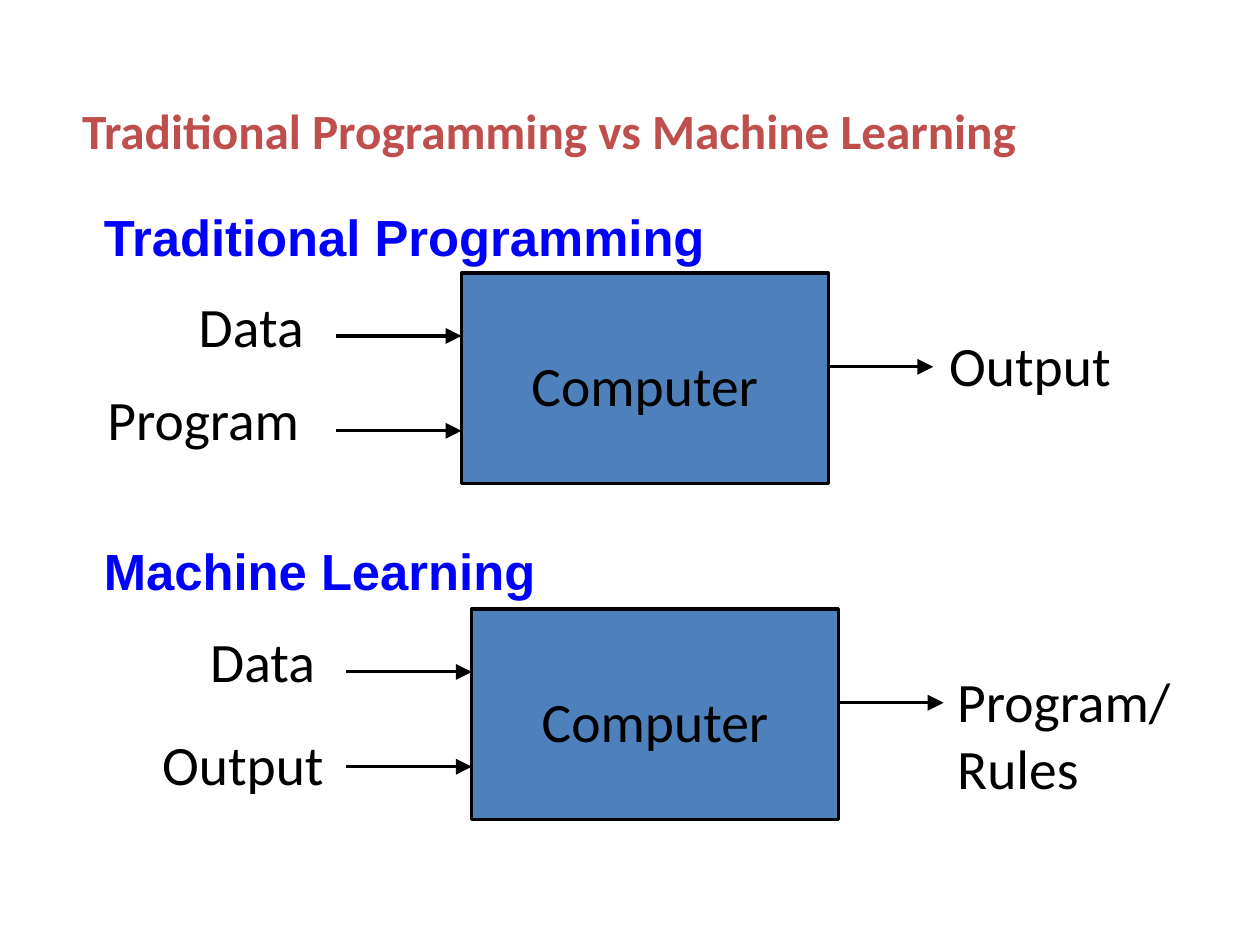
from dataclasses import dataclass, field

from lxml.etree import SubElement
from pptx import Presentation
from pptx.dml.color import RGBColor
from pptx.enum.shapes import MSO_CONNECTOR as Conn, MSO_SHAPE as Shape
from pptx.enum.text import MSO_ANCHOR as Anchor, PP_ALIGN as Align
from pptx.oxml.ns import qn
from pptx.util import Inches, Pt

BLACK, BLUE, RED, FILL = "000000", "0000FF", "BF4F4C", "4E80BC"
BOX_W, BOX_H = 3.21, 1.84
INPUT_LEN, OUTPUT_LEN = 1.1, 0.92
INPUT_YS, OUTPUT_Y = (0.55, 1.38), 0.82


@dataclass
class Style:
    name: str
    size: float
    color: str
    bold: bool = False


TITLE = Style("Calibri", 31, RED, True)
HEADING = Style("Arial", 32, BLUE, True)
BODY = Style("Calibri", 35, BLACK)


@dataclass
class Label:
    text: str
    left: float
    top: float
    width: float
    height: float
    style: Style = field(default_factory=lambda: BODY)
    wrap: bool = False
    indent: float = 0
    para: dict = field(default_factory=lambda: {"space_before": Pt(1)})


@dataclass
class Diagram:
    left: float
    top: float
    labels: list[Label]


HEADLINE = Label("Traditional Programming vs Machine Learning", 0.71, 0.87, 8.18, 0.55, TITLE)
DIAGRAMS = [
    Diagram(4.04, 2.39, [
        Label("Traditional Programming", 0.9, 1.79, 5.28, 0.56, HEADING),
        Label("Data Program", 0.93, 2.32, 1.75, 1.64, wrap=True, indent=0.8,
              para={"space_before": Pt(0.9), "line_spacing": 1.39}),
        Label("Output", 8.3, 2.89, 1.44, 0.61),
    ]),
    Diagram(4.13, 5.33, [
        Label("Machine Learning", 0.9, 4.71, 3.8, 0.56, HEADING),
        Label("Data", 1.83, 5.48, 0.95, 0.61),
        Label("Output", 1.41, 6.38, 1.44, 0.61),
        Label("Program/ Rules", 8.37, 5.83, 1.9, 1.19, wrap=True),
    ]),
]


def rgb(color: str) -> RGBColor:
    return RGBColor.from_string(color)


def apply(target, values: dict) -> None:
    for name, value in values.items():
        setattr(target, name, value)


def write(sp, text: str, style: Style, frame: dict, para: dict):
    tf = sp.text_frame
    apply(tf, {"margin_left": 0, "margin_right": 0, "margin_bottom": 0,
               "vertical_anchor": Anchor.TOP} | frame)
    p = tf.paragraphs[0]
    apply(p, para)
    r = p.add_run()
    r.text = text
    apply(r.font, {"name": style.name, "size": Pt(style.size), "bold": style.bold})
    r.font.color.rgb = rgb(style.color)
    return p


def add_label(s, label: Label) -> None:
    sp = s.shapes.add_textbox(*map(Inches, (label.left, label.top, label.width, label.height)))
    p = write(sp, label.text, label.style,
              {"margin_top": Inches(0.01), "word_wrap": label.wrap},
              {"alignment": Align.LEFT} | label.para)
    pPr = p._p.get_or_add_pPr()
    pPr.set("marL", str(Inches(0.01)))
    pPr.set("indent", str(Inches(label.indent)))


def add_arrow(s, left: float, y: float, length: float) -> None:
    sp = s.shapes.add_connector(Conn.STRAIGHT, *map(Inches, (left, y, left + length, y)))
    sp.line.width = Pt(2)
    sp.line.color.rgb = rgb(BLACK)
    SubElement(sp.line._get_or_add_ln(), qn("a:tailEnd"), type="triangle", w="lg", len="lg")
    SubElement(sp._element.spPr, qn("a:effectLst"))


def add_computer(s, left: float, top: float) -> None:
    sp = s.shapes.add_shape(Shape.RECTANGLE, *map(Inches, (left, top, BOX_W, BOX_H)))
    sp.shadow.inherit = False
    sp.fill.solid()
    sp.fill.fore_color.rgb = rgb(FILL)
    sp.line.width = Pt(2)
    sp.line.color.rgb = rgb(BLACK)
    write(sp, "Computer", BODY, {"margin_top": Inches(0.68), "word_wrap": True},
          {"alignment": Align.CENTER})


def add_diagram(s, diagram: Diagram) -> None:
    add_computer(s, diagram.left, diagram.top)
    for y in INPUT_YS:
        add_arrow(s, diagram.left - INPUT_LEN, diagram.top + y, INPUT_LEN)
    add_arrow(s, diagram.left + BOX_W, diagram.top + OUTPUT_Y, OUTPUT_LEN)
    for label in diagram.labels:
        add_label(s, label)


def main() -> None:
    prs = Presentation()
    prs.slide_width, prs.slide_height = Inches(11.03), Inches(8.27)
    s = prs.slides.add_slide(prs.slide_layouts[6])
    add_label(s, HEADLINE)
    for diagram in DIAGRAMS:
        add_diagram(s, diagram)
    prs.save("out.pptx")


if __name__ == "__main__":
    main()
